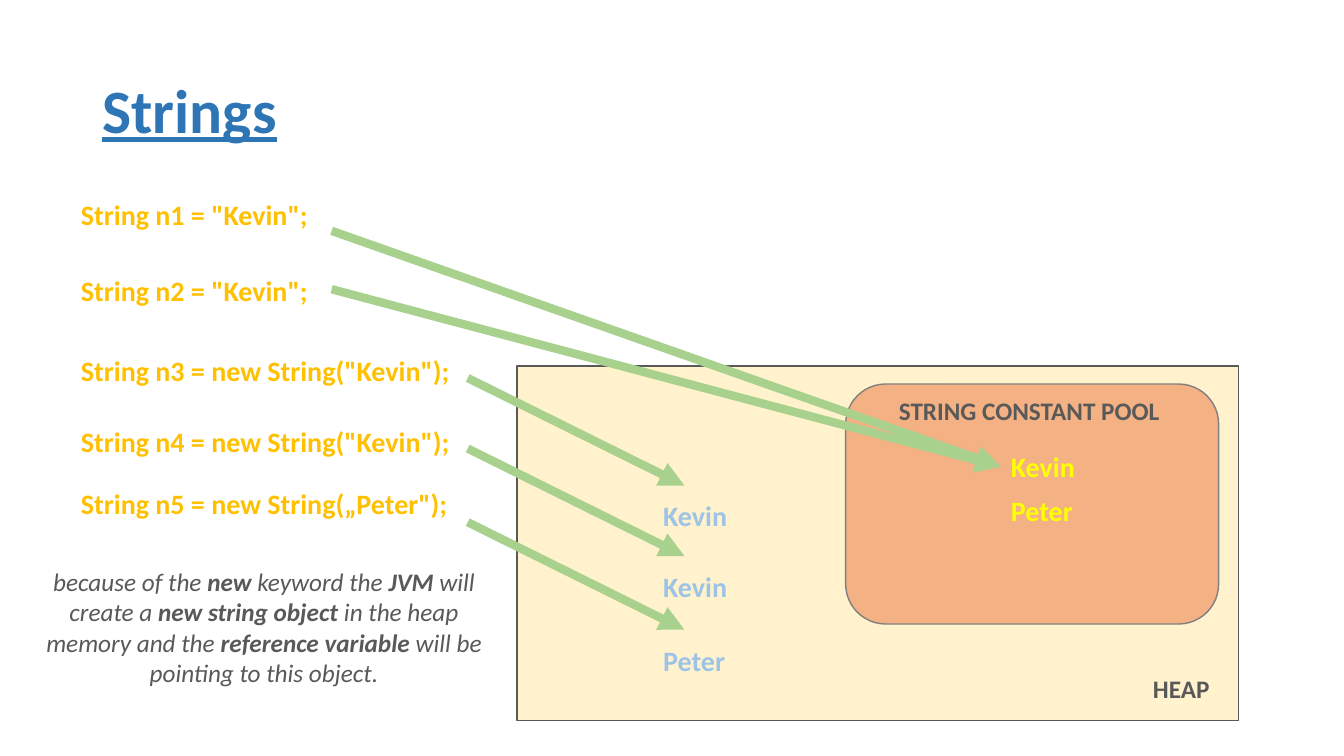
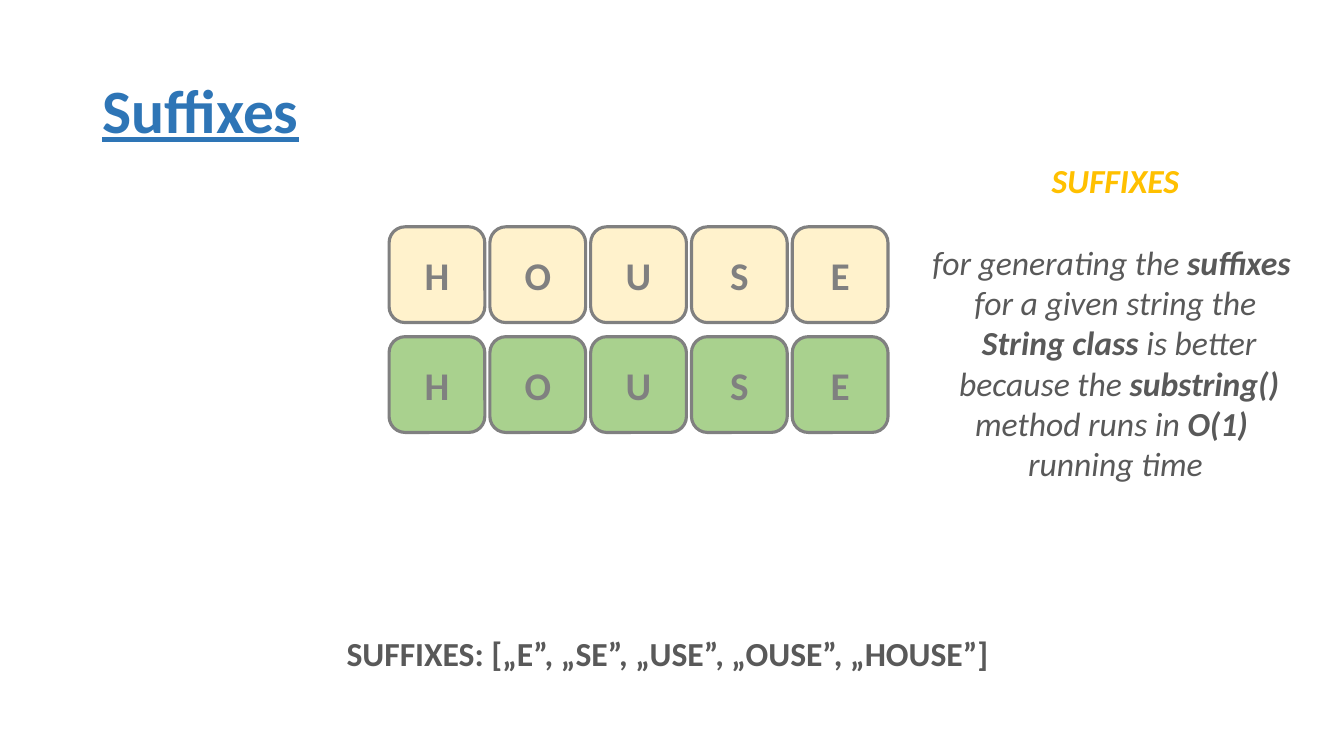
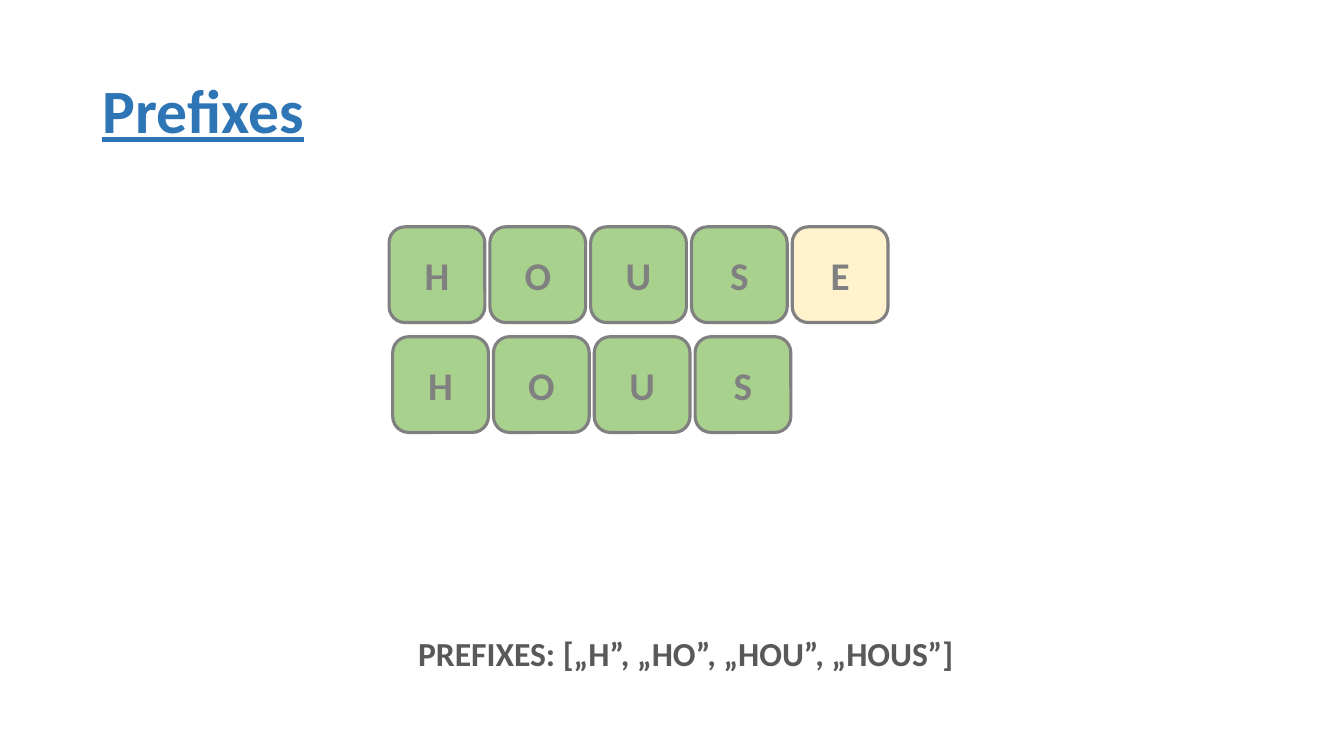
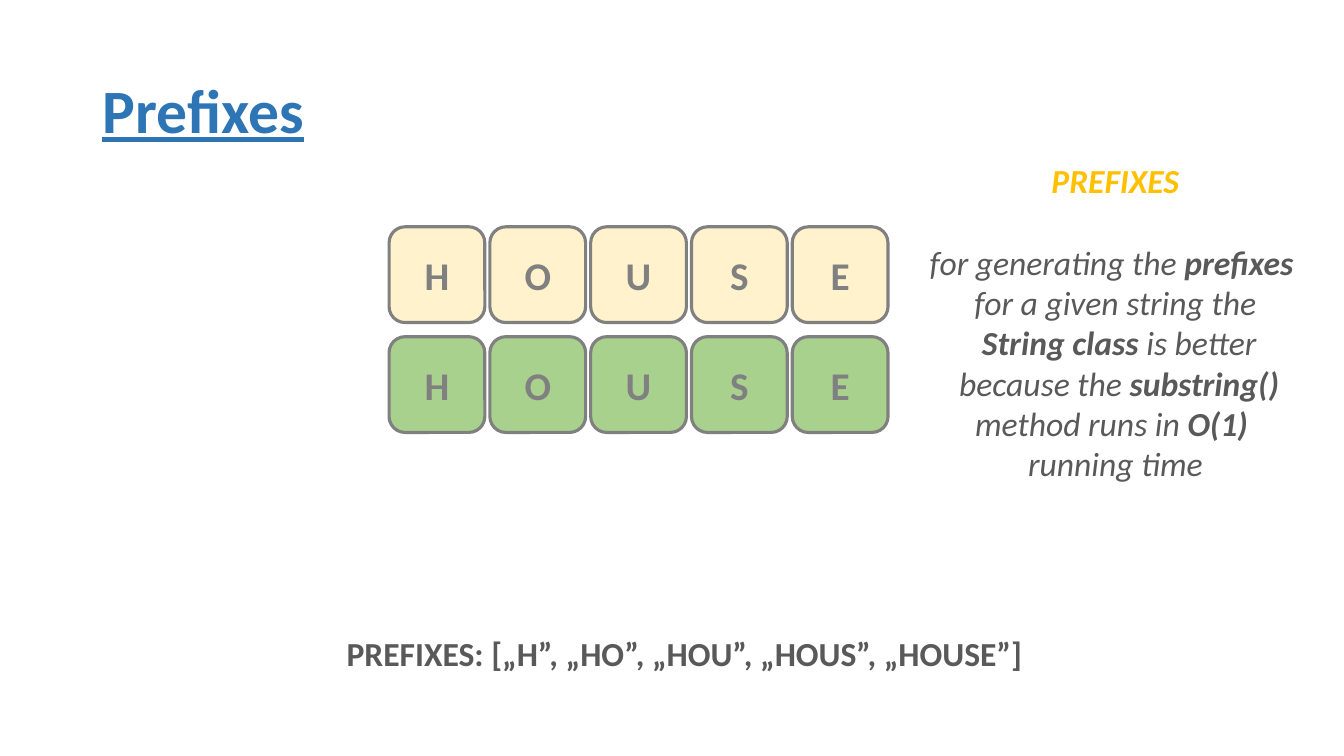
from lxml import etree
from pptx import Presentation
from pptx import util as u
from pptx.dml.color import RGBColor
from pptx.enum import shapes, text
from pptx.oxml import ns

FONT = "Calibri"
BLUE, LIGHT_BLUE = "2E75B6", "9DC3E6"
GOLD, YELLOW, CREAM = "FFC000", "FFFF00", "FFF2CC"
GREEN, ORANGE = "A9D18E", "F4B183"
DARK, GRAY = "595959", "808080"

# Letter tiles
TILE, TILE_PITCH = 68.4, 72
TILES_LEFT, TOP_ROW, BOTTOM_ROW = 277.9, 162, 240.5
WORD = "HOUSE"


def rgb(value):
    return RGBColor.from_string(value)


def points(*lengths):
    return [u.Pt(length) for length in lengths]


def add_runs(paragraph, content, size, color, bold=False, italic=False, underline=None):
    """Add one run per piece; pieces between asterisks are bold."""
    for index, piece in enumerate(content.split("*")):
        if not piece:
            continue
        run = paragraph.add_run()
        run.text = piece
        font = run.font
        font.name, font.size = FONT, u.Pt(size)
        font.bold = bold or index % 2 == 1
        font.italic, font.underline = italic, underline
        font.color.rgb = rgb(color)


def add_title(slide, content):
    title = slide.shapes.title
    title.left, title.top, title.width, title.height = points(66, 28.8, 828, 104.4)
    frame = title.text_frame
    frame.auto_size = text.MSO_AUTO_SIZE.NONE
    frame.vertical_anchor = text.MSO_ANCHOR.MIDDLE
    paragraph = frame.paragraphs[0]
    paragraph.alignment = text.PP_ALIGN.LEFT
    paragraph.line_spacing = 0.9
    add_runs(paragraph, content, 44, BLUE, bold=True, underline=True)


def add_frame(slide, box, wrap=True):
    frame = slide.shapes.add_textbox(*points(*box)).text_frame
    frame.word_wrap = wrap
    return frame


def add_label(slide, box, content, size, color, wrap=True):
    frame = add_frame(slide, box, wrap)
    add_runs(frame.paragraphs[0], content, size, color, bold=True)


def add_box(slide, kind, box, fill, line, line_width):
    shape = slide.shapes.add_shape(kind, *points(*box))
    shape.shadow.inherit = False
    shape.fill.solid()
    shape.fill.fore_color.rgb = rgb(fill)
    shape.line.color.rgb = rgb(line)
    shape.line.width = u.Pt(line_width)
    return shape


def add_arrow(slide, start, end):
    arrow = slide.shapes.add_connector(
        shapes.MSO_CONNECTOR.STRAIGHT, *points(*start, *end))
    arrow.line.color.rgb = rgb(GREEN)
    arrow.line.width = u.Pt(6)
    properties = arrow._element.spPr
    line = properties.find(ns.qn("a:ln"))
    etree.SubElement(line, ns.qn("a:tailEnd"), type="triangle")
    etree.SubElement(properties, ns.qn("a:effectLst"))


def add_tiles(slide, word, left, top, fills):
    for index, (letter, fill) in enumerate(zip(word, fills)):
        box = (left + index * TILE_PITCH, top, TILE, TILE)
        tile = add_box(slide, shapes.MSO_SHAPE.ROUNDED_RECTANGLE, box, fill, GRAY, 2.25)
        tile.text_frame.vertical_anchor = text.MSO_ANCHOR.MIDDLE
        paragraph = tile.text_frame.paragraphs[0]
        paragraph.alignment = text.PP_ALIGN.CENTER
        add_runs(paragraph, letter, 28, GRAY, bold=True)


def add_summary(slide, name, parts, left, width):
    quoted = ", ".join(f"„{part}”" for part in parts)
    add_label(slide, (left, 448.6, width, 36), f"{name.upper()}: [{quoted}]",
              24, DARK, wrap=False)


def add_side_note(slide, name):
    frame = add_frame(slide, (618.5, 110.9, 356.4, 269.3))
    heading = frame.paragraphs[0]
    heading.alignment = text.PP_ALIGN.CENTER
    heading.space_after = u.Pt(29.3)
    add_runs(heading, name.upper(), 24, GOLD, bold=True, italic=True)
    for line in (f"for generating the *{name.lower()} *",
                 "for a given string the",
                 " *String class* is better",
                 " because the *substring()*",
                 "method runs in *O(1) *",
                 "running time"):
        paragraph = frame.add_paragraph()
        paragraph.alignment = text.PP_ALIGN.CENTER
        add_runs(paragraph, line, 24, DARK, italic=True)


def build_memory_slide(slide):
    add_title(slide, "Strings")

    # Heap with the constant pool inside
    add_box(slide, shapes.MSO_SHAPE.RECTANGLE, (369.4, 261.4, 515.5, 253.4),
            CREAM, DARK, 1)
    add_box(slide, shapes.MSO_SHAPE.ROUNDED_RECTANGLE, (604.1, 274.3, 266.4, 171.4),
            ORANGE, GRAY, 1)
    add_label(slide, (816.5, 477.4, 67.7, 28.8), "HEAP", 18, DARK)
    add_label(slide, (635, 278.6, 238.3, 28.8), "STRING CONSTANT POOL", 18, DARK)

    # Declarations
    for top, code in ((137.5, 'String n1 = "Kevin";'),
                      (191.5, 'String n2 = "Kevin";'),
                      (249.1, 'String n3 = new String("Kevin");'),
                      (299.5, 'String n4 = new String("Kevin");'),
                      (344.2, 'String n5 = new String(„Peter");')):
        add_label(slide, (50.8, top, 312.5, 36.7), code, 20, GOLD)

    # Literals share one pooled object
    for start_top in (164.9, 206.6):
        add_arrow(slide, (236.9, start_top), (715, 333.4))
    for top, name in ((317.5, "Kevin"), (349.2, "Peter")):
        add_label(slide, (715, top, 72, 31.7), name, 20, YELLOW)

    # Each new keyword makes its own heap object
    for top, name in ((352.8, "Kevin"), (403.2, "Kevin"), (455.8, "Peter")):
        add_label(slide, (466.6, top, 72, 31.7), name, 20, LIGHT_BLUE)
        add_arrow(slide, (334.1, top - 82.8), (488.9, top - 6))

    # Explanation
    frame = add_frame(slide, (23, 401, 331.2, 94.3))
    paragraph = frame.paragraphs[0]
    paragraph.alignment = text.PP_ALIGN.CENTER
    add_runs(paragraph, "because of the *new* keyword the *JVM* will create a "
             "*new string object* in the heap memory and the *reference variable* "
             "will be pointing to this object.", 18, DARK, italic=True)


def build_whole_word_slide(slide, name, parts, summary_width):
    add_title(slide, name)
    add_tiles(slide, WORD, TILES_LEFT, TOP_ROW, [CREAM] * len(WORD))
    add_tiles(slide, WORD, TILES_LEFT, BOTTOM_ROW, [GREEN] * len(WORD))
    add_summary(slide, name, parts, 240.5, summary_width)
    add_side_note(slide, name)


def build_partial_prefix_slide(slide, prefixes):
    longest = prefixes[-1]
    greens = [GREEN] * len(longest)
    add_title(slide, "Prefixes")
    add_tiles(slide, WORD, TILES_LEFT, TOP_ROW, greens + [CREAM])
    add_tiles(slide, longest, TILES_LEFT + 2.6, BOTTOM_ROW, greens)
    add_summary(slide, "Prefixes", prefixes, 291.6, 401)


def main():
    presentation = Presentation()
    presentation.slide_width, presentation.slide_height = points(960, 540)
    title_only = presentation.slide_layouts[5]

    def new_slide():
        return presentation.slides.add_slide(title_only)

    prefixes = [WORD[:end] for end in range(1, len(WORD) + 1)]
    suffixes = [WORD[-length:] for length in range(1, len(WORD) + 1)]

    build_memory_slide(new_slide())
    build_whole_word_slide(new_slide(), "Suffixes", suffixes, 478.8)
    build_partial_prefix_slide(new_slide(), prefixes[:-1])
    build_whole_word_slide(new_slide(), "Prefixes", prefixes, 502.6)
    presentation.save("out.pptx")


main()
